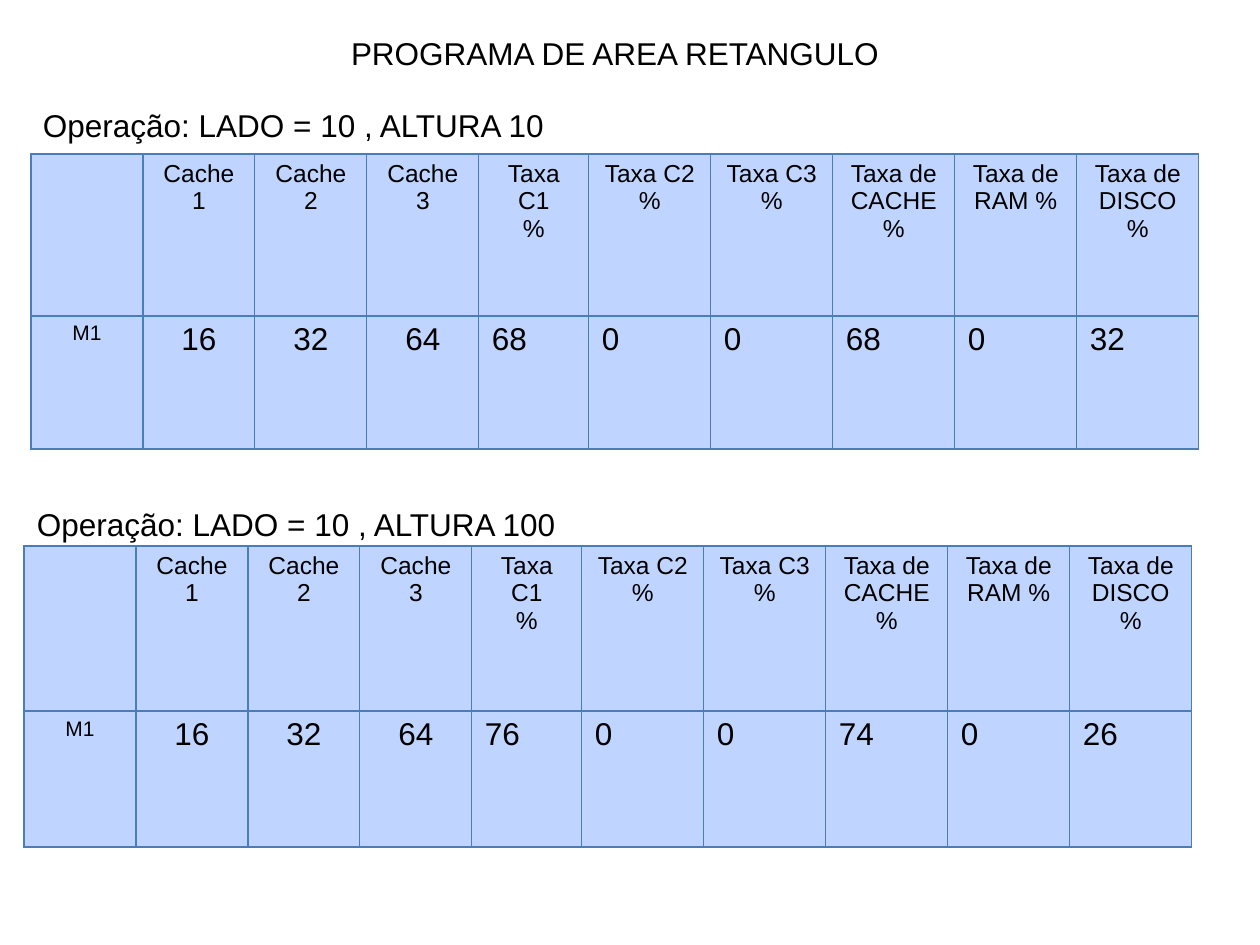
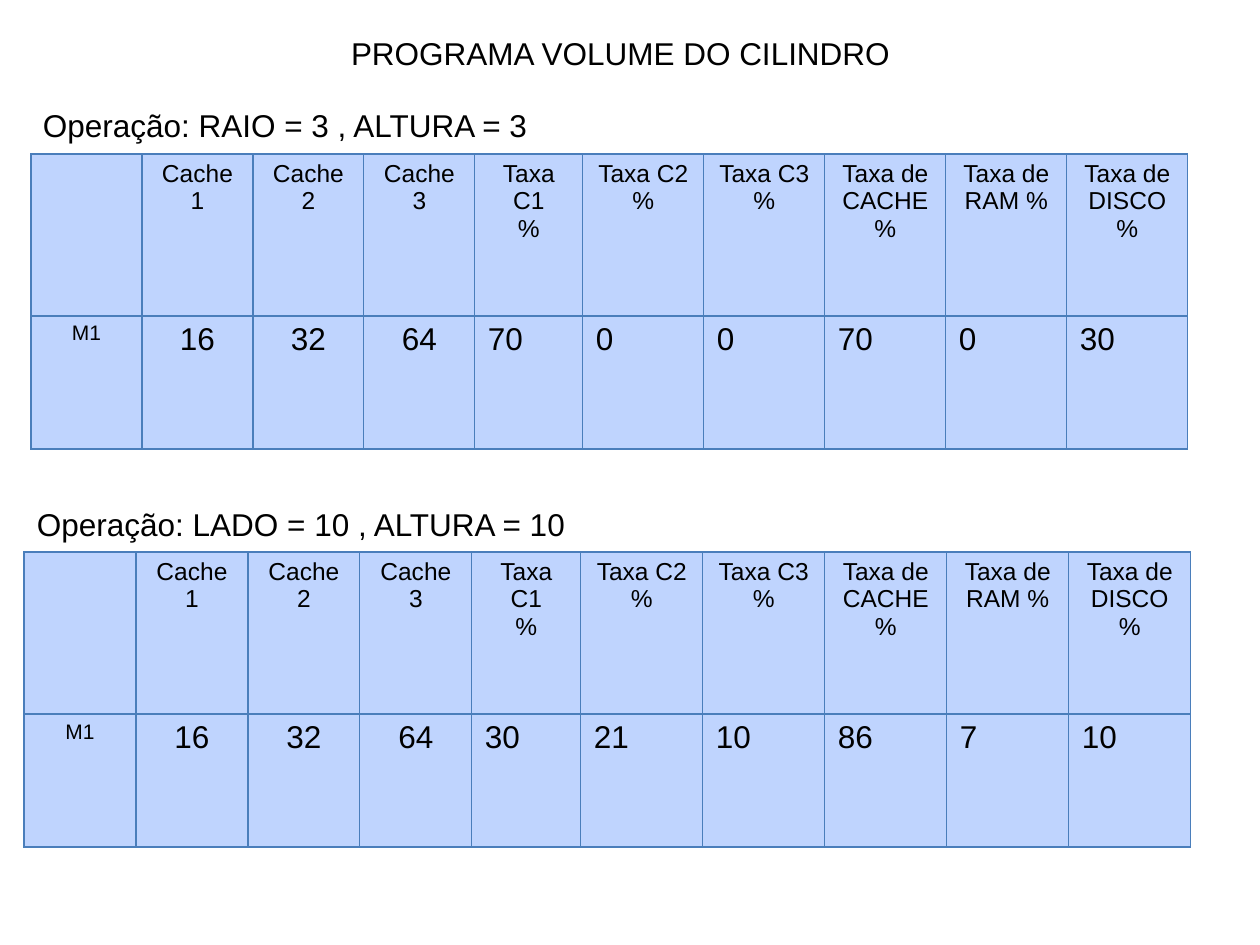
from typing import NamedTuple

from lxml import etree
from pptx import Presentation
from pptx.dml.color import RGBColor
from pptx.enum.text import MSO_ANCHOR, PP_ALIGN
from pptx.oxml.ns import qn
from pptx.util import Emu, Pt

# Shared look
BLACK = RGBColor(0x00, 0x00, 0x00)
CELL_BLUE = RGBColor(0xBF, 0xD4, 0xFE)
BORDER_BLUE = RGBColor(0x4A, 0x7E, 0xBB)
LEFT, CENTER = PP_ALIGN.LEFT, PP_ALIGN.CENTER
TOP = MSO_ANCHOR.TOP
PX_PER_INCH = 126
BORDER_WIDTH = Pt(0.75)
FONT = {"name": "Arial", "bold": False}
MARGINS = {"margin_left": 13, "margin_top": 6, "margin_right": 13, "margin_bottom": 6}
BORDER_TAGS = ("a:lnL", "a:lnR", "a:lnT", "a:lnB")

# Shared table wording
HEADINGS = (
    "", "Cache 1", "Cache 2", "Cache 3", "Taxa C1\n%", "Taxa C2\n%", "Taxa C3\n%",
    "Taxa de CACHE %", "Taxa de RAM %", "Taxa de DISCO %",
)
MACHINE = "M1"
CACHE_SIZES = ("16", "32", "64")


class Label(NamedTuple):
    text: str
    left: int
    top: int
    width: int
    height: int


class RateTable(NamedTuple):
    left: int
    top: int
    cache_width: int
    first_rate_width: int
    rate_width: int
    row_heights: tuple[int, int]
    rates: tuple[str, ...]


class Program(NamedTuple):
    title: str
    operations: tuple[tuple[Label, RateTable], ...]


PROGRAMS = (
    Program("PROGRAMA DE AREA RETANGULO", (
        (Label("Operação: LADO = 10 , ALTURA 10", 30, 100, 919, 42),
         RateTable(31, 154, 112, 110, 122, (162, 133),
                   ("68", "0", "0", "68", "0", "32"))),
        (Label("Operação: LADO = 10 , ALTURA 100", 24, 499, 842, 47),
         RateTable(24, 546, 112, 110, 122, (165, 136),
                   ("76", "0", "0", "74", "0", "26"))),
    )),
    Program("PROGRAMA VOLUME DO CILINDRO", (
        (Label("Operação: RAIO = 3 , ALTURA = 3", 30, 100, 595, 42),
         RateTable(31, 154, 111, 108, 121, (162, 133),
                   ("70", "0", "0", "70", "0", "30"))),
        (Label("Operação: LADO = 10 , ALTURA = 10", 24, 499, 591, 47),
         RateTable(24, 552, 112, 109, 122, (162, 133),
                   ("30", "21", "10", "86", "7", "10"))),
    )),
)


def px(length: int) -> Emu:
    return Emu(round(length * 914400 / PX_PER_INCH))


def write_text(frame, text: str, size: int, align) -> None:
    for index, line in enumerate(text.split("\n")):
        para = frame.add_paragraph() if index else frame.paragraphs[0]
        para.alignment = align
        span = para.add_run()
        span.text = line
        for name, value in (FONT | {"size": Pt(size)}).items():
            setattr(span.font, name, value)
        span.font.color.rgb = BLACK


def set_margins(target) -> None:
    for name, value in MARGINS.items():
        setattr(target, name, px(value))


def draw_label(page, label: Label) -> None:
    box = page.shapes.add_textbox(*map(px, label[1:]))
    frame = box.text_frame
    frame.word_wrap = True
    frame.vertical_anchor = TOP
    set_margins(frame)
    write_text(frame, label.text, 18, LEFT)


def style_cell(cell) -> None:
    set_margins(cell)
    cell.vertical_anchor = TOP
    # Borders come before the fill in the cell properties
    properties = cell._tc.get_or_add_tcPr()
    for tag in BORDER_TAGS:
        line = etree.SubElement(properties, qn(tag), w=str(BORDER_WIDTH))
        fill = etree.SubElement(line, qn("a:solidFill"))
        etree.SubElement(fill, qn("a:srgbClr"), val=str(BORDER_BLUE))
    cell.fill.solid()
    cell.fill.fore_color.rgb = CELL_BLUE


def draw_table(page, rate_table: RateTable) -> None:
    widths = ([rate_table.cache_width] * 4 + [rate_table.first_rate_width]
              + [rate_table.rate_width] * 5)
    heights = rate_table.row_heights
    values = (MACHINE, *CACHE_SIZES, *rate_table.rates)
    table = page.shapes.add_table(
        len(heights), len(widths), px(rate_table.left), px(rate_table.top),
        px(sum(widths)), px(sum(heights))).table
    table.first_row = table.horz_banding = False
    for row, height in zip(table.rows, heights):
        row.height = px(height)
    for index, width in enumerate(widths):
        table.columns[index].width = px(width)
        heading, value = table.cell(0, index), table.cell(1, index)
        for cell in (heading, value):
            style_cell(cell)
        if HEADINGS[index]:
            write_text(heading.text_frame, HEADINGS[index], 14, CENTER)
        write_text(value.text_frame, values[index], 18 if index else 12,
                   CENTER if index <= len(CACHE_SIZES) else LEFT)


def main() -> None:
    deck = Presentation()
    deck.slide_width, deck.slide_height = px(1260), px(945)
    for program in PROGRAMS:
        page = deck.slides.add_slide(deck.slide_layouts[6])
        draw_label(page, Label(program.title, 338, 28, 1130, 42))
        for label, rate_table in program.operations:
            draw_label(page, label)
            draw_table(page, rate_table)
    deck.save("out.pptx")


if __name__ == "__main__":
    main()
